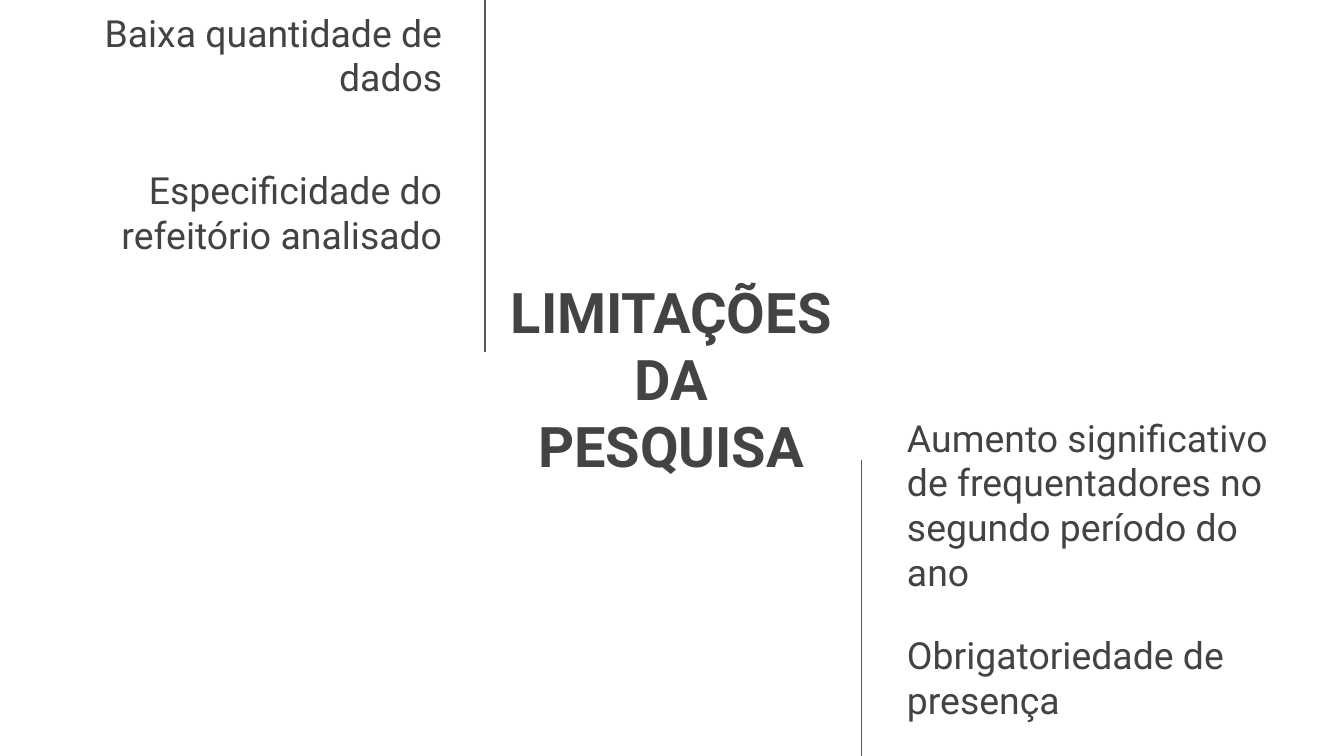
"""Builds the slide on the limitations of the research."""
from lxml.etree import SubElement
from pptx import Presentation
from pptx.dml.color import RGBColor
from pptx.enum.shapes import MSO_CONNECTOR
from pptx.enum.text import MSO_ANCHOR, MSO_AUTO_SIZE, PP_ALIGN
from pptx.oxml.ns import qn
from pptx.util import Inches, Pt

TEXT_COLOR = RGBColor(0x43, 0x43, 0x43)
LINE_COLOR = RGBColor(0x59, 0x59, 0x59)
FONT = "Roboto"

TITLE = "LIMITAÇÕES DA PESQUISA"
LEFT_EDGE, RIGHT_EDGE = 3.39, 6.65
ITEM_HEIGHT = 0.63
LEFT_ITEMS = [
    ("Baixa quantidade de dados", 0.21, 3.26),
    ("Especificidade do refeitório analisado", 1.38, 3.08),
]
RIGHT_ITEMS = [
    ("Aumento significativo de frequentadores no segundo período do ano", 3.89, 3.08),
    ("Obrigatoriedade de presença", 4.84, 3.26),
]
DIVIDERS = [(3.61, 0, 2.62), (6.41, 3.42, 5.64)]


def write_text(box, text, size, align, anchor, bold=False):
    frame = box.text_frame
    frame.word_wrap = True
    frame.auto_size = MSO_AUTO_SIZE.NONE
    frame.vertical_anchor = anchor
    frame.margin_left = frame.margin_right = Inches(0.1)
    frame.margin_top = frame.margin_bottom = Inches(0.1)
    para = frame.paragraphs[0]
    para.text = text
    para.alignment = align
    para.font.name = FONT
    para.font.size = Pt(size)
    para.font.bold = bold
    para.font.color.rgb = TEXT_COLOR


def add_item(page, text, left, top, width, align):
    box = page.shapes.add_textbox(
        Inches(left), Inches(top), Inches(width), Inches(ITEM_HEIGHT))
    write_text(box, text, 20, align, MSO_ANCHOR.BOTTOM)


def add_divider(page, x, top, bottom):
    line = page.shapes.add_connector(
        MSO_CONNECTOR.STRAIGHT, Inches(x), Inches(top), Inches(x), Inches(bottom))
    line.line.color.rgb = LINE_COLOR
    line.line.width = Pt(0.75)
    SubElement(line._element.spPr, qn("a:effectLst"))


def main():
    deck = Presentation()
    deck.slide_width = Inches(10)
    deck.slide_height = deck.slide_width * 9 // 16
    page = deck.slides.add_slide(deck.slide_layouts[5])

    title = page.shapes.title
    title.left, title.top = Inches(3.7), Inches(2.3)
    title.width, title.height = Inches(2.59), Inches(1.03)
    write_text(title, TITLE, 30, PP_ALIGN.CENTER, MSO_ANCHOR.MIDDLE, bold=True)

    for text, top, width in LEFT_ITEMS:
        add_item(page, text, LEFT_EDGE - width, top, width, PP_ALIGN.RIGHT)
    for text, top, width in RIGHT_ITEMS:
        add_item(page, text, RIGHT_EDGE, top, width, PP_ALIGN.LEFT)
    for x, top, bottom in DIVIDERS:
        add_divider(page, x, top, bottom)

    deck.save("out.pptx")


if __name__ == "__main__":
    main()
